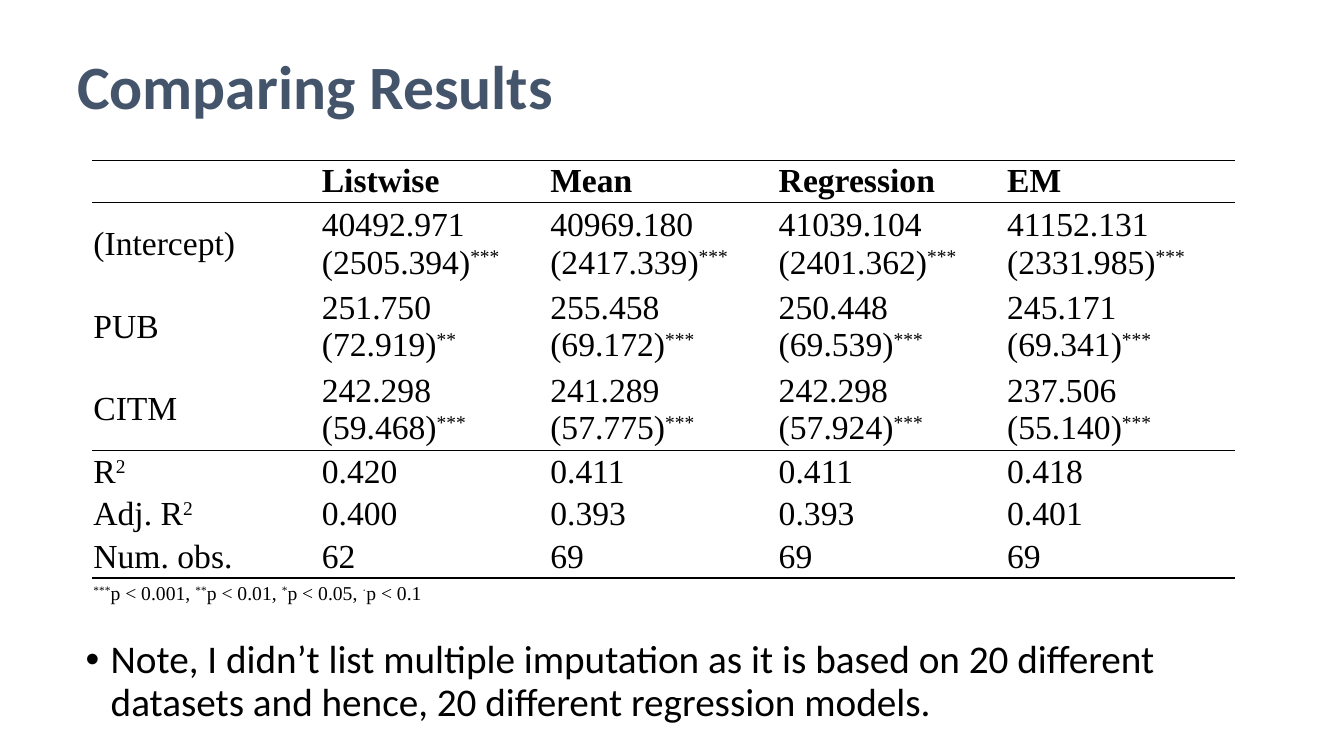
from dataclasses import dataclass

from lxml import etree
from pptx import Presentation
from pptx import util as u
from pptx.dml.color import RGBColor
from pptx.enum import text
from pptx.oxml import ns


@dataclass(frozen=True)
class Theme:
    title_color: str = "44546A"
    ink: str = "000000"
    sans: str = "Calibri"
    serif: str = "Times New Roman"
    title_size: int = 44
    body_size: int = 28
    table_size: int = 24
    footnote_size: int = 14
    line_spacing: float = 0.9
    thick_rule: float = 1.5
    thin_rule: float = 1


HEADERS = ["", "Listwise", "Mean", "Regression", "EM"]
COEFFICIENTS = [
    ["(Intercept)", "40492.971 (2505.394)^***", "40969.180 (2417.339)^***",
     "41039.104 (2401.362)^***", "41152.131 (2331.985)^***"],
    ["PUB", "251.750 (72.919)^**", "255.458 (69.172)^***",
     "250.448 (69.539)^***", "245.171 (69.341)^***"],
    ["CITM", "242.298 (59.468)^***", "241.289 (57.775)^***",
     "242.298 (57.924)^***", "237.506 (55.140)^***"],
]
FIT = [
    ["R^2", "0.420", "0.411", "0.411", "0.418"],
    ["Adj. R^2", "0.400", "0.393", "0.393", "0.401"],
    ["Num. obs.", "62", "69", "69", "69"],
]
FOOTNOTE = "^***^p < 0.001, ^**^p < 0.01, ^*^p < 0.05, ^·^p < 0.1"
NOTE = ("Note, I didn’t list multiple imputation as it is based on 20 different "
        "datasets and hence, 20 different regression models.")


class SlideBuilder:
    """Places elements on a grid of 160 columns by 90 rows."""

    def __init__(self, presentation, theme):
        self.theme = theme
        self.column = presentation.slide_width / 160
        self.row = presentation.slide_height / 90
        self.slide = presentation.slides.add_slide(presentation.slide_layouts[6])

    def box(self, left, top, width, height):
        return (round(left * self.column), round(top * self.row),
                round(width * self.column), round(height * self.row))

    def add_runs(self, paragraph, marked_text, font, size, color, bold=False):
        """Add runs, each "^" switching superscript on or off."""
        for index, part in enumerate(marked_text.split("^")):
            if not part:
                continue
            run = paragraph.add_run()
            run.text = part
            run.font.name = font
            run.font.size = u.Pt(size)
            run.font.bold = bold
            run.font.color.rgb = RGBColor.from_string(color)
            if index % 2:
                run.font._element.set("baseline", "30000")

    def text_box(self, place, anchor):
        frame = self.slide.shapes.add_textbox(*self.box(*place)).text_frame
        frame.word_wrap = True
        frame.vertical_anchor = anchor
        paragraph = frame.paragraphs[0]
        paragraph.line_spacing = self.theme.line_spacing
        return paragraph

    def title(self, place, words):
        paragraph = self.text_box(place, text.MSO_ANCHOR.MIDDLE)
        self.add_runs(paragraph, words, self.theme.sans, self.theme.title_size,
                      self.theme.title_color, bold=True)

    def bullet(self, place, words):
        paragraph = self.text_box(place, text.MSO_ANCHOR.TOP)
        paragraph.space_before = u.Pt(10)
        properties = paragraph._p.get_or_add_pPr()
        properties.set("marL", str(u.Inches(0.25)))
        properties.set("indent", str(-u.Inches(0.25)))
        etree.SubElement(properties, ns.qn("a:buFont"), typeface="Arial")
        etree.SubElement(properties, ns.qn("a:buChar"), char="•")
        self.add_runs(paragraph, words, self.theme.sans, self.theme.body_size, self.theme.ink)

    def edge(self, cell, side, points):
        """Draw one cell border, or clear it when points is None."""
        line = etree.SubElement(cell._tc.get_or_add_tcPr(), ns.qn(f"a:ln{side}"))
        if points is None:
            etree.SubElement(line, ns.qn("a:noFill"))
            return
        line.set("w", str(u.Pt(points)))
        fill = etree.SubElement(line, ns.qn("a:solidFill"))
        etree.SubElement(fill, ns.qn("a:srgbClr"), val=self.theme.ink)

    def results_table(self, left, top, width, row_heights, rows, footnote):
        theme = self.theme
        row_count, column_count = len(row_heights), len(rows[0])
        place = self.box(left, top, width, sum(row_heights))
        table = self.slide.shapes.add_table(row_count, column_count, *place).table
        table.first_row = table.horz_banding = False
        for table_row, height in zip(table.rows, row_heights):
            table_row.height = round(height * self.row)

        fit_start = 1 + len(COEFFICIENTS)
        rules = {0: theme.thick_rule, 1: theme.thin_rule,
                 fit_start: theme.thin_rule, len(rows): theme.thick_rule}
        for row_index in range(row_count):
            for column_index in range(column_count):
                cell = table.cell(row_index, column_index)
                cell.vertical_anchor = text.MSO_ANCHOR.MIDDLE
                cell.margin_left = cell.margin_top = cell.margin_bottom = u.Inches(0.01)
                cell.margin_right = u.Inches(0.12)
                self.edge(cell, "L", None)
                self.edge(cell, "R", None)
                self.edge(cell, "T", rules.get(row_index))
                self.edge(cell, "B", rules.get(row_index + 1))
                cell.fill.background()
                if row_index < len(rows):
                    self.add_runs(cell.text_frame.paragraphs[0], rows[row_index][column_index],
                                  theme.serif, theme.table_size, theme.ink, bold=row_index == 0)

        footnote_cell = table.cell(row_count - 1, 0)
        footnote_cell.merge(table.cell(row_count - 1, column_count - 1))
        self.add_runs(footnote_cell.text_frame.paragraphs[0], footnote,
                      theme.serif, theme.footnote_size, theme.ink)


def main():
    presentation = Presentation()
    presentation.slide_width = u.Inches(13.33)
    presentation.slide_height = u.Inches(7.5)
    builder = SlideBuilder(presentation, Theme())
    builder.title((8, 2, 138, 17.4), "Comparing Results")
    builder.bullet((9, 75.6, 144, 12), NOTE)
    row_heights = [4.75] + [9] * len(COEFFICIENTS) + [4.75] * len(FIT) + [3.8]
    builder.results_table(11, 19.1, 136, row_heights,
                          [HEADERS, *COEFFICIENTS, *FIT], FOOTNOTE)
    presentation.save("out.pptx")


if __name__ == "__main__":
    main()
